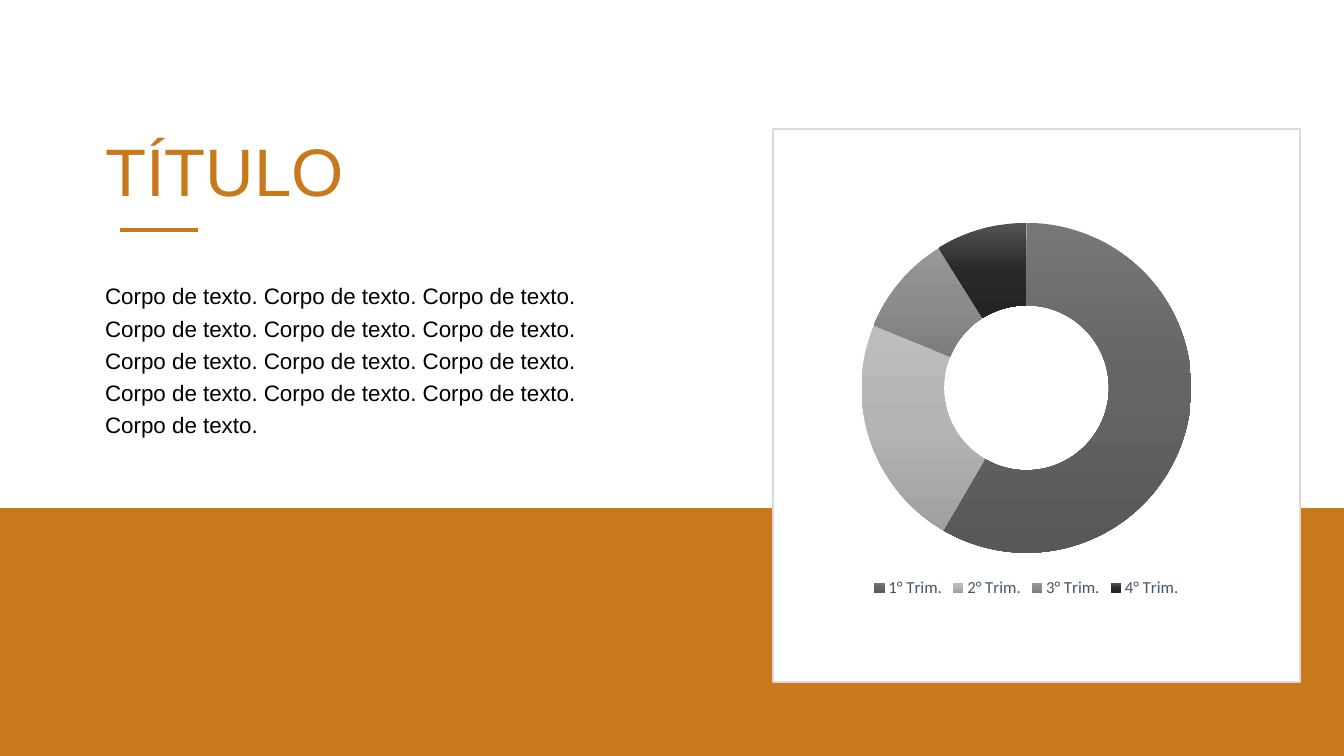
from copy import deepcopy
from pptx import Presentation
from pptx.chart.data import CategoryChartData
from pptx.dml.color import RGBColor
from pptx.enum.chart import XL_CHART_TYPE, XL_LEGEND_POSITION
from pptx.enum.shapes import MSO_CONNECTOR, MSO_SHAPE
from pptx.enum.text import MSO_ANCHOR, MSO_AUTO_SIZE, PP_ALIGN
from pptx.oxml.ns import qn
from pptx.util import Pt
from lxml.etree import SubElement

PX = 914400 / 100.8
ORANGE = "C7791B"


def px(*sizes):
    """Turn pixel lengths into EMU."""
    return [round(size * PX) for size in sizes]


def color(hexa):
    return RGBColor.from_string(hexa)


deck = Presentation()
deck.slide_width, deck.slide_height = px(1344, 756)
slide = deck.slides.add_slide(deck.slide_layouts[1])
shapes = slide.shapes
title, body = slide.placeholders

# Orange band and white panel
for box, fill, edge in [
    ((0, 508, 1344, 248), ORANGE, None),
    ((773, 129, 527, 553), "FFFFFF", "D9D9D9"),
]:
    rect = shapes.add_shape(MSO_SHAPE.RECTANGLE, *px(*box))
    rect.shadow.inherit = False
    rect.fill.solid()
    rect.fill.fore_color.rgb = color(fill)
    if edge:
        rect.line.color.rgb = color(edge)
        rect.line.width = Pt(1)
    else:
        rect.line.fill.background()

# Title and body text
phrase = "Corpo de texto."
lines = [" ".join([phrase] * count) for count in (3, 3, 3, 3, 1)]
for holder, box, texts, size, hue, space in [
    (title, (95, 133, 331, 115), ["TÍTULO"], 48, ORANGE, 0.9),
    (body, (95, 272, 1008, 240), lines, 16, "000000", 1.2),
]:
    for name, value in zip(("left", "top", "width", "height"), px(*box)):
        setattr(holder, name, value)
    frame = holder.text_frame
    frame.text = "\n".join(texts)
    look = {"word_wrap": True, "auto_size": MSO_AUTO_SIZE.NONE,
            "vertical_anchor": MSO_ANCHOR.TOP}
    for name, value in look.items():
        setattr(frame, name, value)
    style = {"alignment": PP_ALIGN.LEFT, "line_spacing": space,
             "space_before": Pt(0), "space_after": Pt(0)}
    for para in frame.paragraphs:
        for name, value in style.items():
            setattr(para, name, value)
        props = para._p.get_or_add_pPr()
        props.set("marL", "0")
        props.set("indent", "0")
        SubElement(props, qn("a:buNone"))
        for name, value in {"name": "Arial", "size": Pt(size)}.items():
            setattr(para.font, name, value)
        para.font.color.rgb = color(hue)

# Doughnut chart
data = CategoryChartData()
data.categories = [f"{part}° Trim." for part in range(1, 5)]
data.add_series("Series 1", (59, 23, 10, 9))
chart = shapes.add_chart(
    XL_CHART_TYPE.DOUGHNUT, *px(781, 209, 491, 393), data).chart
chart.has_title = False
chart.has_legend = True
legend = chart.legend
legend.position = XL_LEGEND_POSITION.BOTTOM
legend.include_in_layout = False
for font, size, hue in [(chart.font, 10, "000000"), (legend.font, 12, "44546A")]:
    for name, value in {"name": "Calibri", "size": Pt(size)}.items():
        setattr(font, name, value)
    font.color.rgb = color(hue)

plot = chart.plots[0]
plot.vary_by_categories = True
plot._element.find(qn("c:holeSize")).set("val", "75")
shades = [
    ("777777", "646464", "585858"),
    ("BDBDBD", "B4B4B4", "A0A0A0"),
    ("989898", "8C8C8C", "7C7C7C"),
    ("535353", "292929", "242424"),
]
ring = plot.series[0]
for index, tones in enumerate(shades):
    part = ring.points[index].format
    part.line.fill.background()
    fill = part.fill
    fill.gradient()
    fill.gradient_angle = 270
    # The default gradient has two stops; add a middle one
    stops = ring._element.xpath(".//a:gsLst")[index]
    stops.insert(1, deepcopy(stops[0]))
    for stop, tone, place in zip(fill.gradient_stops, tones, (0, 0.5, 1)):
        stop.color.rgb = color(tone)
        stop.position = place

# Rule under the title
rule = shapes.add_connector(MSO_CONNECTOR.STRAIGHT, *px(120, 230, 198, 230))
rule.line.color.rgb = color(ORANGE)
rule.line.width = Pt(3)
SubElement(rule._element.spPr, qn("a:effectLst"))

deck.save("out.pptx")
